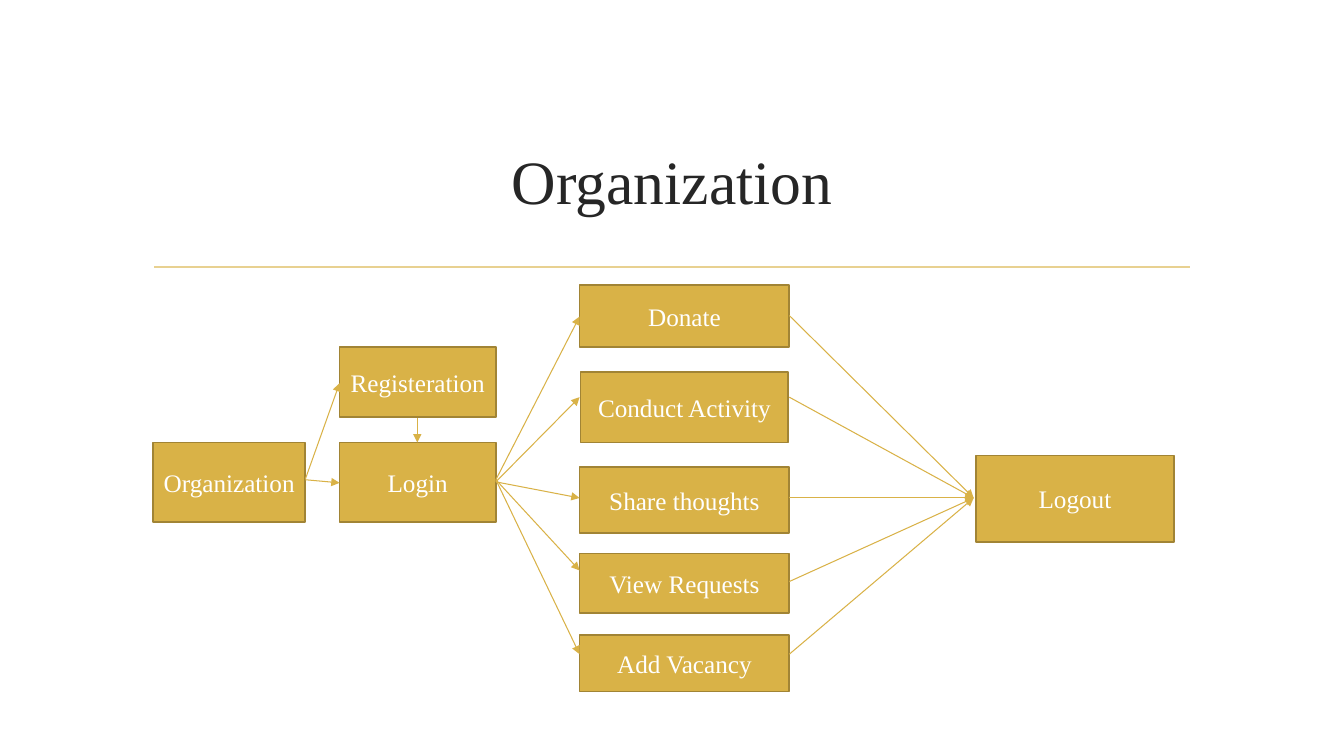
import pptx
import pptx.dml.color
import pptx.enum.shapes
import pptx.enum.text
import pptx.oxml.ns
import pptx.util
from lxml import etree

Pt = pptx.util.Pt
RGBColor = pptx.dml.color.RGBColor

GOLD = RGBColor(0xD9, 0xB2, 0x47)
DARK_GOLD = RGBColor(0xA1, 0x84, 0x35)
PALE_GOLD = RGBColor(0xE8, 0xD1, 0x91)
CHARCOAL = RGBColor(0x26, 0x26, 0x26)
WHITE = RGBColor(0xFF, 0xFF, 0xFF)

LOGIN_RIGHT = 354.2
ACTION_LEFT, ACTION_WIDTH = 414, 149.8
ACTION_RIGHT = ACTION_LEFT + ACTION_WIDTH
LOGOUT_ENTRY = (695.5, 355.7)

STEPS = [
    ("Organization", 109.4, 316.1, 108.7, 56.9),
    ("Registeration", 242.6, 247.7, 111.6, 50.4),
    ("Login", 242.6, 316.1, 111.6, 56.9),
    ("Logout", 697, 325.4, 141.8, 61.9),
]
ACTIONS = [
    ("Donate", 203.8, 43.9, 0, 342.7, 226.1, 225.4),
    ("Conduct Activity", 265.7, 50.4, 0.7, 344.2, 283.7, 283.7),
    ("Share thoughts", 333.4, 47.5, 0, 344.2, 355.7, 355.7),
    ("View Requests", 395.3, 42.5, 0, 342.7, 407.5, 415.4),
    ("Add Vacancy", 453.6, 40.3, 0, 342.7, 467.3, 467.3),
]
ENTRY_ARROWS = [
    ((218.2, 342), (242.6, 273.6)),
    ((218.2, 342.7), (242.6, 344.9)),
    ((298.1, 298.8), (298.1, 316.1)),
]


class FlowSlide:
    """Draw the elements of a flow diagram in one style on one slide."""

    font_name = "Times New Roman"

    def __init__(self, slide):
        self.slide = slide

    def add_text(self, shape, text, size, color):
        frame = shape.text_frame
        frame.word_wrap = True
        frame.margin_left = frame.margin_right = Pt(5)
        frame.vertical_anchor = pptx.enum.text.MSO_ANCHOR.MIDDLE
        paragraph = frame.paragraphs[0]
        paragraph.alignment = pptx.enum.text.PP_ALIGN.CENTER
        run = paragraph.add_run()
        run.text = text
        run.font.name = self.font_name
        run.font.size = Pt(size)
        run.font.color.rgb = color

    def title(self, text, left, top, width, height):
        shape = self.slide.shapes.add_textbox(Pt(left), Pt(top), Pt(width), Pt(height))
        self.add_text(shape, text, 44, CHARCOAL)

    def box(self, text, left, top, width, height):
        shape = self.slide.shapes.add_shape(
            pptx.enum.shapes.MSO_SHAPE.RECTANGLE,
            Pt(left), Pt(top), Pt(width), Pt(height),
        )
        shape.shadow.inherit = False
        shape.fill.solid()
        shape.fill.fore_color.rgb = GOLD
        shape.line.color.rgb = DARK_GOLD
        shape.line.width = Pt(1.25)
        self.add_text(shape, text, 18, WHITE)

    def line(self, start, end, color, width):
        connector = self.slide.shapes.add_connector(
            pptx.enum.shapes.MSO_CONNECTOR.STRAIGHT,
            *(Pt(length) for length in (*start, *end)),
        )
        connector.line.color.rgb = color
        connector.line.width = Pt(width)
        properties = connector.element.spPr
        etree.SubElement(properties, pptx.oxml.ns.qn("a:effectLst"))
        return connector

    def arrow(self, start, end):
        connector = self.line(start, end, GOLD, 0.75)
        outline = connector.element.spPr.find(pptx.oxml.ns.qn("a:ln"))
        etree.SubElement(outline, pptx.oxml.ns.qn("a:tailEnd"), type="triangle")


def main():
    presentation = pptx.Presentation()
    presentation.slide_width = Pt(960)
    presentation.slide_height = Pt(540)
    flow = FlowSlide(presentation.slides.add_slide(presentation.slide_layouts[6]))

    flow.line((110.2, 190.8), (850.3, 190.8), PALE_GOLD, 1.25)
    flow.title("Organization", 102.2, 77, 756, 103)

    for step in STEPS:
        flow.box(*step)
    for start, end in ENTRY_ARROWS:
        flow.arrow(start, end)

    for text, top, height, inset, login_y, entry_y, exit_y in ACTIONS:
        flow.box(text, ACTION_LEFT + inset, top, ACTION_WIDTH - 2 * inset, height)
        flow.arrow((LOGIN_RIGHT, login_y), (ACTION_LEFT, entry_y))
        flow.arrow((ACTION_RIGHT, exit_y), LOGOUT_ENTRY)

    presentation.save("out.pptx")


if __name__ == "__main__":
    main()
